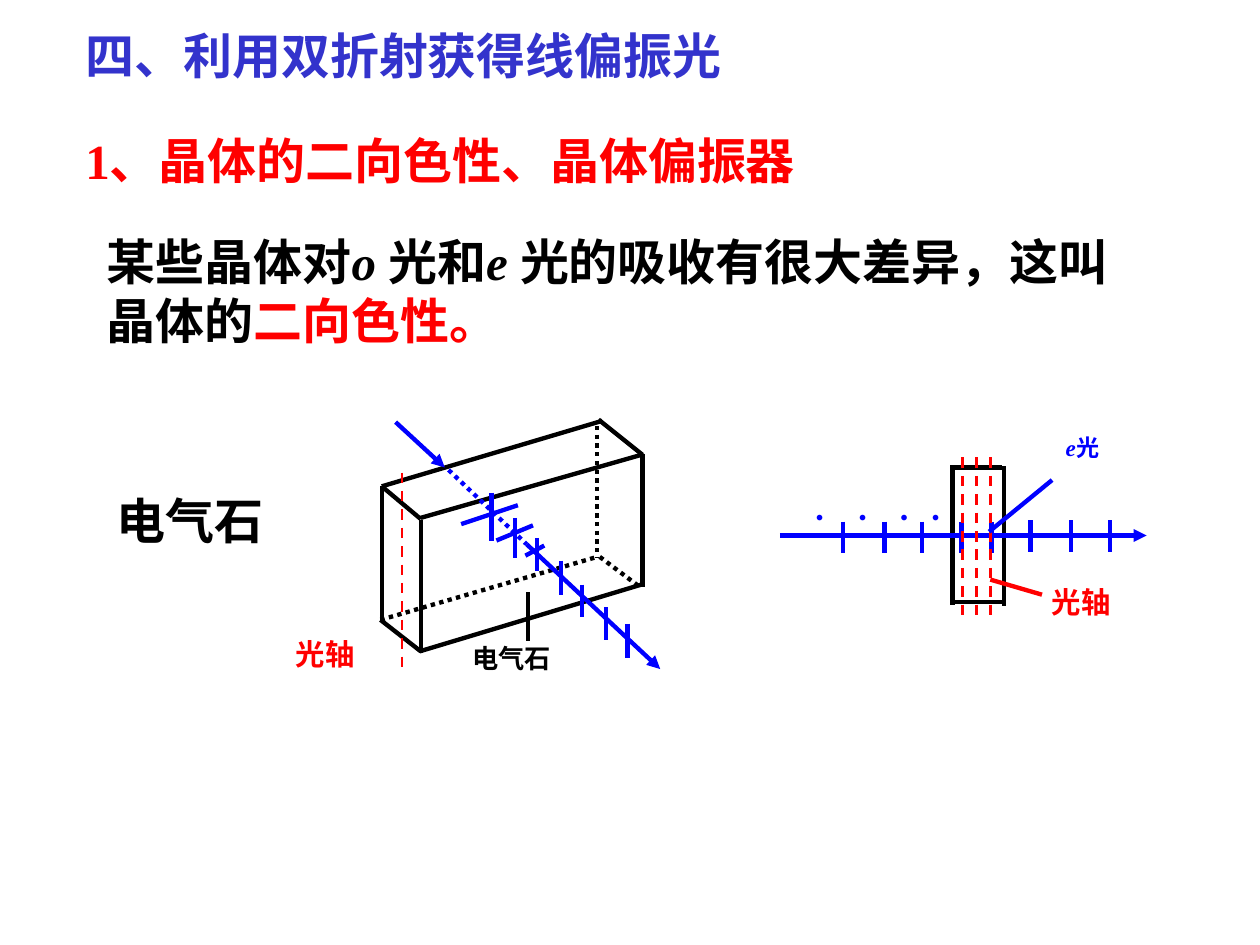
from lxml import etree
from pptx import Presentation
from pptx.dml.color import RGBColor
from pptx.enum.dml import MSO_LINE
from pptx.enum.shapes import MSO_CONNECTOR
from pptx.enum.text import MSO_AUTO_SIZE, PP_ALIGN
from pptx.oxml.ns import qn
from pptx.util import Inches, Pt

STRAIGHT = MSO_CONNECTOR.STRAIGHT
DASH, DOT = MSO_LINE.DASH, MSO_LINE.ROUND_DOT
GROW, FIXED = MSO_AUTO_SIZE.SHAPE_TO_FIT_TEXT, MSO_AUTO_SIZE.NONE
LEFT, JUSTIFY = PP_ALIGN.LEFT, PP_ALIGN.JUSTIFY
INDIGO = RGBColor(0x33, 0x33, 0xCC)
RED = RGBColor(0xFF, 0, 0)
BLUE = RGBColor(0, 0, 0xFF)
BLACK = RGBColor(0, 0, 0)
SERIF, CJK = "Times New Roman", "Noto Sans CJK SC"


def add_text(shapes, place, size, color, spans, align=JUSTIFY,
             fit=FIXED, wrap=True, inset=(0.1, 0.05)):
    """Add a text box; each span is (text, font name, format overrides)."""
    box = shapes.add_textbox(*[Inches(value) for value in place])
    frame = box.text_frame
    side, edge = [Inches(value) for value in inset]
    layout = {"word_wrap": wrap, "auto_size": fit, "margin_left": side,
              "margin_right": side, "margin_top": edge, "margin_bottom": edge}
    for name, value in layout.items():
        setattr(frame, name, value)
    para = frame.paragraphs[0]
    para.alignment = align
    for text, font_name, extra in spans:
        span = para.add_run()
        span.text = text
        style = {"size": Pt(size), "bold": True, "italic": False, "name": font_name}
        for name, value in style.items():
            setattr(span.font, name, extra.get(name, value))
        span.font.color.rgb = extra.get("color", color)
        latin = span.font._element.find(qn("a:latin"))
        east_asian = etree.Element(qn("a:ea"), typeface=CJK)
        latin.addnext(east_asian)


def add_line(shapes, x1, y1, x2, y2, color, width=2.5, dash=None, arrow=False):
    line = shapes.add_connector(STRAIGHT, Inches(x1), Inches(y1), Inches(x2), Inches(y2))
    line.line.color.rgb = color
    line.line.width = Pt(width)
    if dash:
        line.line.dash_style = dash
    if arrow:
        etree.SubElement(line.line._get_or_add_ln(), qn("a:tailEnd"), type="triangle")
    etree.SubElement(line._element.spPr, qn("a:effectLst"))


deck = Presentation()
deck.slide_width, deck.slide_height = Inches(10), Inches(7.5)
page = deck.slides.add_slide(deck.slide_layouts[6])

# Headings and body text
add_text(page.shapes, (0.58, 0.15, 5.25, 0.57), 28, INDIGO,
         [("四、利用双折射获得线偏振光", SERIF, {})], LEFT, GROW, wrap=False)
add_text(page.shapes, (0.58, 0.99, 6.92, 0.57), 28, RED,
         [("1、", SERIF, {}), ("晶体的二向色性、晶体偏振器", CJK, {})], fit=GROW)
add_text(page.shapes, (0.75, 1.79, 8.25, 1.04), 28, BLACK, [
    ("某些晶体对", CJK, {}),
    ("o ", SERIF, {"italic": True}),
    ("光和", CJK, {}),
    ("e ", SERIF, {"italic": True}),
    ("光的吸收有很大差异，这叫晶体的", CJK, {}),
    ("二向色性。", CJK, {"color": RED}),
], LEFT, GROW)
add_text(page.shapes, (0.83, 3.84, 1.92, 0.57), 28, BLACK,
         [("电气石", CJK, {})], LEFT, GROW)

# Side view: crystal plate
side_view = page.shapes.add_group_shape().shapes
for ends in [(7.54, 3.71, 7.95, 3.71), (7.56, 3.71, 7.56, 4.8),
             (7.97, 3.7, 7.97, 4.81), (7.56, 4.78, 7.97, 4.78)]:
    add_line(side_view, *ends, BLACK)

# Side view: ray with its vibration ticks and dots
add_line(side_view, 6.19, 4.25, 9.1, 4.25, BLUE, arrow=True)
for top, tick_places in [(4.14, (6.69, 7.02, 7.32, 7.63, 7.87)),
                         (4.13, (8.18, 8.5, 8.81))]:
    for x in tick_places:
        add_line(side_view, x, top, x, top + 0.25, BLUE)
for x in (6.45, 6.79, 7.12, 7.37):
    add_text(side_view, (x, 3.92, 0.46, 0.39), 19.8, BLUE,
             [("·", SERIF, {})], inset=(0.01, 0.01))

# Side view: optic axes and labels
for x in (7.64, 7.75, 7.86):
    add_line(side_view, x, 3.63, x, 4.91, RED, 1.5, DASH)
add_text(side_view, (8.25, 4.59, 1, 0.41), 16.8, RED, [("光轴", SERIF, {})])
add_line(side_view, 7.86, 4.6, 8.27, 4.72, RED)
add_line(side_view, 7.85, 4.22, 8.35, 3.81, BLUE)
add_text(side_view, (8.36, 3.39, 0.72, 0.33), 13.2, BLUE,
         [("e", SERIF, {"italic": True}), ("光", SERIF, {})])

# Solid view: visible, then hidden, edges of the crystal
solid_view = page.shapes.add_group_shape().shapes
for ends in [(3.03, 3.86, 3.34, 4.12), (3.02, 4.92, 3.34, 5.17),
             (3.03, 3.86, 3.03, 4.93), (3.34, 4.13, 3.34, 5.18),
             (3.33, 5.17, 5.09, 4.64), (3.34, 4.11, 5.09, 3.61),
             (3.03, 3.86, 4.78, 3.34), (5.1, 3.6, 5.1, 4.66),
             (4.75, 3.33, 5.1, 3.61)]:
    add_line(solid_view, *ends, BLACK)
for ends in [(4.74, 3.38, 4.74, 4.43), (4.76, 4.42, 5.08, 4.66),
             (3.02, 4.92, 4.74, 4.42)]:
    add_line(solid_view, *ends, BLACK, dash=DOT)

# Solid view: ray entering, crossing and leaving
add_line(solid_view, 4.18, 4.32, 5.24, 5.31, BLUE, arrow=True)
add_line(solid_view, 3.14, 3.35, 3.53, 3.71, BLUE, arrow=True)
add_line(solid_view, 3.56, 3.73, 4.18, 4.32, BLUE, dash=DOT)

# Solid view: upright vibrations, then the fading slanted ones
for x, top, bottom in [(3.9, 3.91, 4.29), (4.09, 4.11, 4.43), (4.26, 4.27, 4.53),
                       (4.45, 4.45, 4.72), (4.62, 4.64, 4.9), (4.81, 4.82, 5.08),
                       (4.98, 4.95, 5.22)]:
    add_line(solid_view, x, top, x, bottom, BLUE)
for ends in [(3.66, 4.16, 4.11, 4.01), (3.94, 4.29, 4.23, 4.17),
             (4.17, 4.41, 4.32, 4.33)]:
    add_line(solid_view, *ends, BLUE)

# Solid view: labels and optic axis
add_text(solid_view, (3.65, 5.05, 1.44, 0.36), 15, BLACK, [("电气石", SERIF, {})])
add_line(solid_view, 4.19, 4.7, 4.19, 5.09, BLACK)
add_line(solid_view, 3.19, 3.75, 3.19, 5.34, RED, 1.5, DASH)
add_text(solid_view, (2.25, 5, 1, 0.41), 16.8, RED, [("光轴", SERIF, {})])

deck.save("out.pptx")
